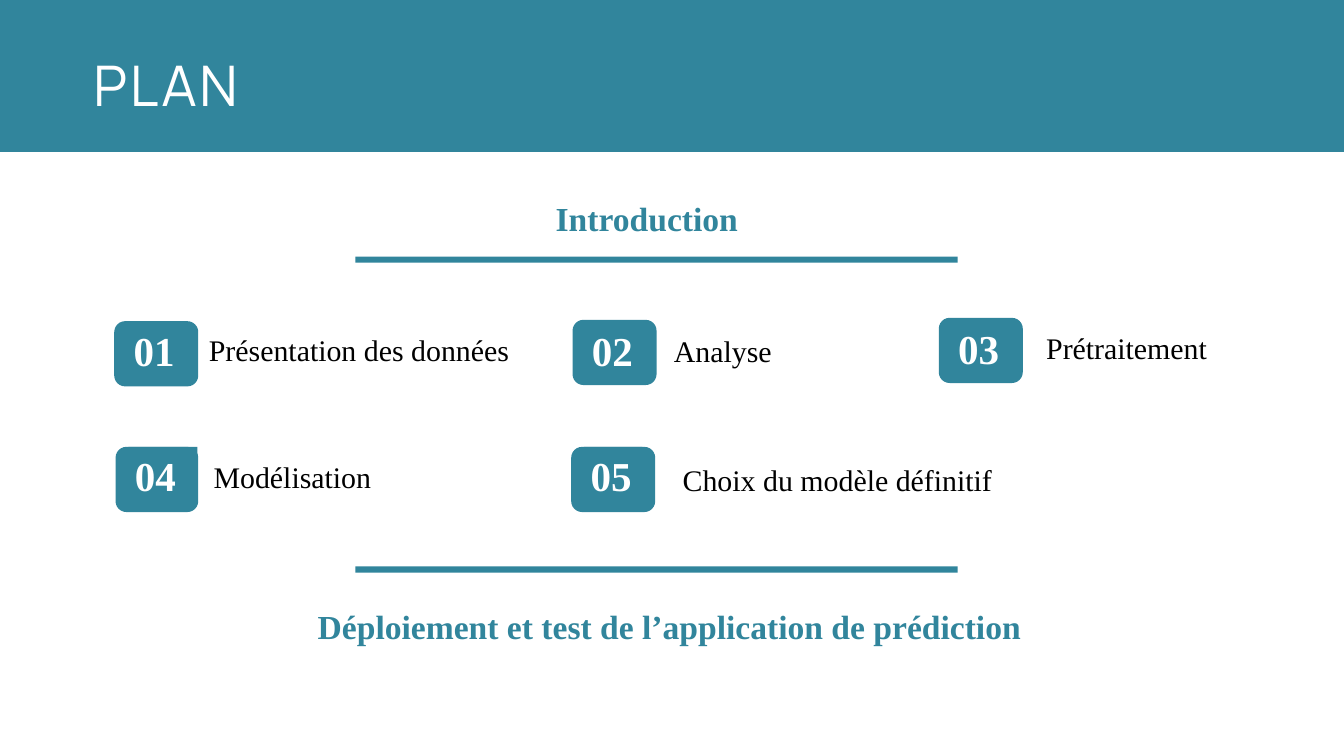
from dataclasses import dataclass

from pptx import Presentation
from pptx.dml.color import RGBColor
from pptx.enum.shapes import MSO_SHAPE as Shape
from pptx.enum.text import MSO_ANCHOR as Anchor, PP_ALIGN as Align
from pptx.util import Inches, Pt

COLUMNS, ROWS = 20, 11.25
TEAL, WHITE, BLACK = "31859C", "FFFFFF", "000000"
SERIF = "Times New Roman"


@dataclass(frozen=True)
class Area:
    column: float
    row: float
    columns: float
    rows: float


@dataclass(frozen=True)
class Style:
    size: float
    color: str
    bold: bool = False
    font: str = SERIF


@dataclass(frozen=True)
class Chapter:
    number: str
    title: str
    badge: Area
    digits: Area
    label: Area


HEADING = Style(60, WHITE, font="Manrope")
SECTION = Style(36, TEAL, bold=True)
NUMBER = Style(44, WHITE, bold=True)
LABEL = Style(32, BLACK)

CHAPTERS = [
    Chapter("01", "Présentation des données", Area(1.7, 4.78, 1.25, 0.97),
            Area(1.89, 4.79, 0.87, 0.84), Area(3.01, 4.89, 5.42, 0.64)),
    Chapter("02", "Analyse", Area(8.52, 4.76, 1.25, 0.97),
            Area(8.71, 4.8, 0.87, 0.84), Area(9.93, 4.9, 2.64, 0.64)),
    Chapter("03", "Prétraitement", Area(13.97, 4.73, 1.25, 0.97),
            Area(14.16, 4.76, 0.87, 0.84), Area(15.47, 4.85, 2.67, 0.64)),
    Chapter("04", "Modélisation", Area(1.72, 6.65, 1.23, 0.97),
            Area(1.91, 6.65, 1.03, 0.84), Area(3.08, 6.78, 2.64, 0.64)),
    Chapter("05", "Choix du modèle définitif", Area(8.5, 6.65, 1.25, 0.97),
            Area(8.69, 6.65, 0.87, 0.84), Area(10.06, 6.82, 5.42, 0.64)),
]
RULES = [Area(5.29, 3.82, 8.96, 0.09), Area(5.29, 8.43, 8.96, 0.09)]
SECTIONS = {
    "Introduction": Area(8.17, 2.9, 3.17, 0.71),
    "Déploiement et test de l’application de prédiction": Area(4.63, 8.97, 10.74, 0.71),
}


def rgb(value: str) -> RGBColor:
    return RGBColor.from_string(value)


def place(area: Area) -> list[int]:
    return [Inches(length) for length in (area.column, area.row, area.columns, area.rows)]


def add_block(page, kind: Shape, area: Area):
    block = page.shapes.add_shape(kind, *place(area))
    block.shadow.inherit = False
    block.fill.solid()
    block.fill.fore_color.rgb = rgb(TEAL)
    block.line.fill.background()
    return block


def write(box, text: str, style: Style, align: Align = Align.LEFT):
    frame = box.text_frame
    frame.word_wrap = True
    frame.vertical_anchor = Anchor.TOP
    para = frame.paragraphs[0]
    para.alignment = align
    para.add_run().text = text
    font = para.font
    font.name, font.size, font.bold = style.font, Pt(style.size), style.bold
    font.color.rgb = rgb(style.color)
    return para


def add_text(page, area: Area, text: str, style: Style) -> None:
    write(page.shapes.add_textbox(*place(area)), text, style)


def add_heading(page, text: str) -> None:
    add_block(page, Shape.RECTANGLE, Area(0, 0, COLUMNS, 2.26))
    box = page.shapes.add_textbox(*place(Area(-0.25, 0.88, 5.43, 0.9)))
    frame = box.text_frame
    frame.margin_left = frame.margin_right = frame.margin_top = frame.margin_bottom = 0
    para = write(box, text, HEADING, Align.CENTER)
    para.line_spacing = Pt(63)
    para.runs[0]._r.get_or_add_rPr().set("spc", "300")


def add_chapter(page, chapter: Chapter) -> None:
    add_block(page, Shape.ROUNDED_RECTANGLE, chapter.badge)
    write(add_block(page, Shape.RECTANGLE, chapter.digits), chapter.number, NUMBER)
    add_text(page, chapter.label, chapter.title, LABEL)


def main() -> None:
    deck = Presentation()
    deck.slide_width, deck.slide_height = Inches(COLUMNS), Inches(ROWS)
    page = deck.slides.add_slide(deck.slide_layouts[6])
    add_heading(page, "PLAN")
    for chapter in CHAPTERS:
        add_chapter(page, chapter)
    for rule in RULES:
        add_block(page, Shape.RECTANGLE, rule)
    for title, area in SECTIONS.items():
        add_text(page, area, title, SECTION)
    deck.save("out.pptx")


if __name__ == "__main__":
    main()
